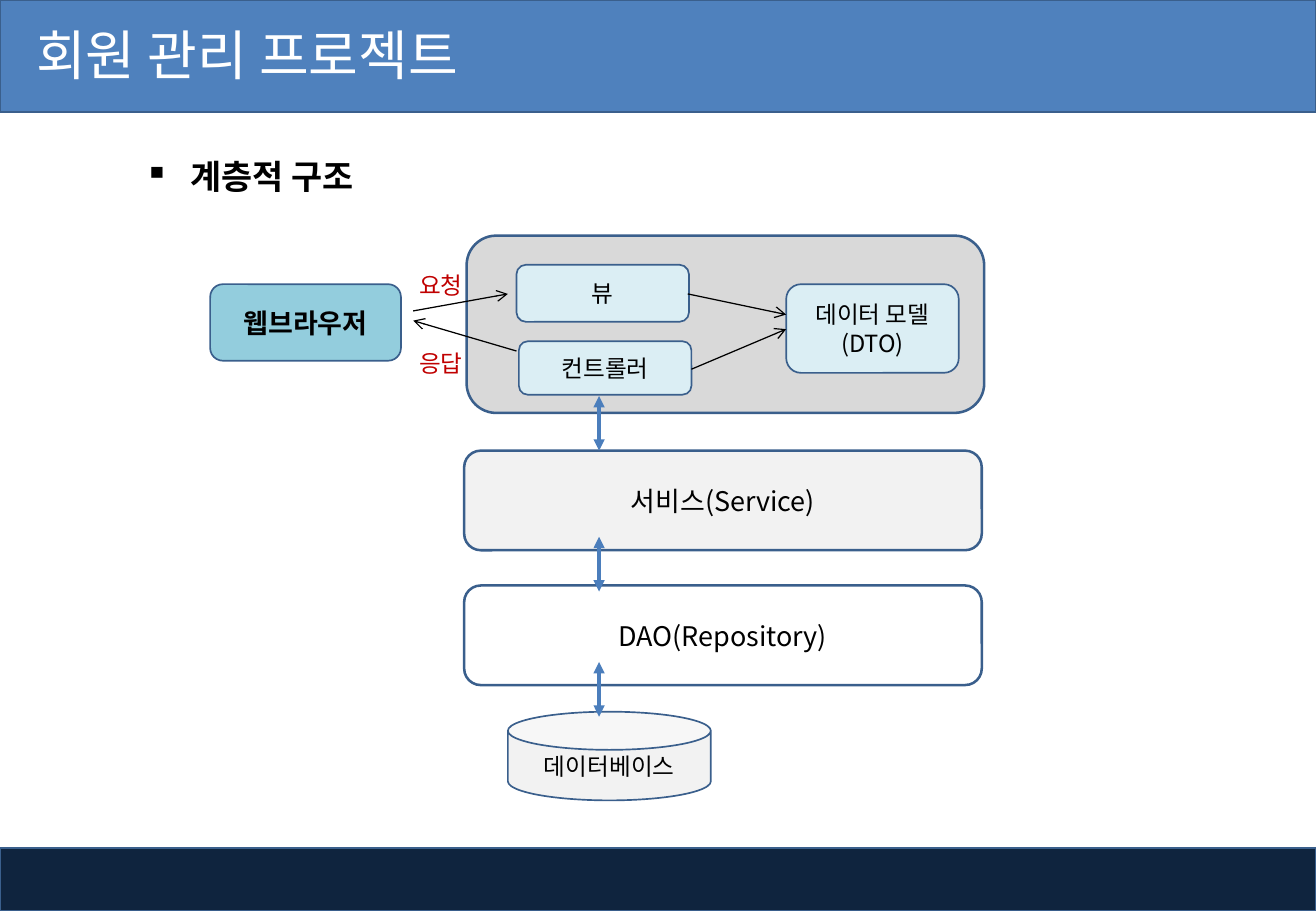
from pptx import Presentation
from pptx.dml.color import RGBColor
from pptx.enum.shapes import MSO_CONNECTOR, MSO_SHAPE
from pptx.enum.text import MSO_ANCHOR, PP_ALIGN
from pptx.oxml.ns import qn
from pptx.util import Inches, Pt
from lxml import etree

RECT, ROUND, CAN = MSO_SHAPE.RECTANGLE, MSO_SHAPE.ROUNDED_RECTANGLE, MSO_SHAPE.CAN
STRAIGHT = MSO_CONNECTOR.STRAIGHT
TOP, MIDDLE = MSO_ANCHOR.TOP, MSO_ANCHOR.MIDDLE
LEFT, CENTER = PP_ALIGN.LEFT, PP_ALIGN.CENTER

BLACK = RGBColor(0x00, 0x00, 0x00)
WHITE = RGBColor(0xFF, 0xFF, 0xFF)
RED = RGBColor(0xC0, 0x00, 0x00)
NAVY = RGBColor(0x0F, 0x24, 0x3E)
BLUE = RGBColor(0x4F, 0x81, 0xBD)
OUTLINE = RGBColor(0x3A, 0x5F, 0x8C)
ARROW_BLUE = RGBColor(0x4B, 0x7E, 0xBC)
TEAL = RGBColor(0x93, 0xCD, 0xDD)
PALE_TEAL = RGBColor(0xDB, 0xEE, 0xF4)
GREY = RGBColor(0xD9, 0xD9, 0xD9)
PALE_GREY = RGBColor(0xF2, 0xF2, 0xF2)

FONT = "Noto Sans CJK KR"
SLIDE_W, SLIDE_H = 10.83, 7.5


def add_xml(parent, tag, **attrs):
    return etree.SubElement(parent, qn(tag), attrs)


def write(sp, text, size=14, color=BLACK, bold=False, align=LEFT, anchor=TOP,
          spacing=None, bullet=None, indent=0):
    """Fill a shape with text, one paragraph per line."""
    tf = sp.text_frame
    tf.word_wrap = True
    tf.vertical_anchor = anchor
    for i, line in enumerate(text.split("\n")):
        p = tf.paragraphs[0] if i == 0 else tf.add_paragraph()
        p.alignment = align
        if spacing:
            p.line_spacing = spacing
        pPr = p._p.get_or_add_pPr()
        if indent:
            pPr.set("marL", str(Inches(indent)))
        if bullet:
            pPr.set("indent", str(-Inches(indent)))
            add_xml(pPr, "a:buChar", char=bullet)
        r = p.add_run()
        r.text = line
        r.font.size = Pt(size)
        r.font.bold = bold
        r.font.color.rgb = color
        r.font.name = FONT
        add_xml(r.font._element, "a:ea", typeface=FONT)


def add_text(s, x, y, w, h, text, **fmt):
    sp = s.shapes.add_textbox(Inches(x), Inches(y), Inches(w), Inches(h))
    write(sp, text, **fmt)


def add_block(s, kind, x, y, w, h, fill, text="", line=1, **fmt):
    """Draw an outlined shape with centred text."""
    sp = s.shapes.add_shape(kind, Inches(x), Inches(y), Inches(w), Inches(h))
    sp.shadow.inherit = False
    sp.fill.solid()
    sp.fill.fore_color.rgb = fill
    sp.line.color.rgb = OUTLINE
    sp.line.width = Pt(line)
    if text:
        write(sp, text, align=CENTER, anchor=MIDDLE, **fmt)
    return sp


def add_arrow(s, x1, y1, x2, y2, color=BLACK, width=0.75, head=None, tail="arrow"):
    c = s.shapes.add_connector(STRAIGHT, Inches(x1), Inches(y1), Inches(x2), Inches(y2))
    c.line.color.rgb = color
    c.line.width = Pt(width)
    spPr = c._element.spPr
    ln = spPr.find(qn("a:ln"))
    if head:
        add_xml(ln, "a:headEnd", type=head)
    add_xml(ln, "a:tailEnd", type=tail)
    add_xml(spPr, "a:effectLst")


def draw_frame(s, w, h):
    """Draw the title band, the footer band and the heading."""
    add_block(s, RECT, 0, h - 0.52, w, 0.52, NAVY)
    add_block(s, RECT, 0, 0, w, 0.92, BLUE)
    add_text(s, 0, -0.03, 8.74, 0.94, "회원 관리 프로젝트", size=32, color=WHITE,
             anchor=MIDDLE, indent=0.2)
    add_text(s, 1.09, 1.07, 6.69, 0.54, "계층적 구조", size=20, bold=True,
             spacing=1.5, bullet="▪", indent=0.38)


def draw_browser(s, x, y):
    """Draw the browser and its request and response labels."""
    add_block(s, ROUND, x, y, 1.57, 0.63, TEAL, "웹브라우저", size=16, bold=True)
    for text, dy in (("요청", -0.16), ("응답", 0.48)):
        add_text(s, x + 1.62, y + dy, 0.79, 0.34, text, color=RED)


def draw_web_layer(s, x, y):
    """Draw the view, controller and model with the arrows between them."""
    add_block(s, ROUND, x, y, 4.26, 1.46, GREY, line=1.5)
    for text, dx, dy, h in (("뷰", 0.41, 0.24, 0.47),
                            ("컨트롤러", 0.43, 0.87, 0.44),
                            ("데이터 모델\n(DTO)", 2.63, 0.4, 0.73)):
        add_block(s, ROUND, x + dx, y + dy, 1.42, h, PALE_TEAL, text)
    for x1, y1, x2, y2 in ((0.41, 0.95, -0.44, 0.7), (-0.44, 0.62, 0.34, 0.48),
                           (1.82, 0.48, 2.63, 0.65), (1.85, 1.1, 2.63, 0.77)):
        add_arrow(s, x + x1, y + y1, x + x2, y + y2)


def draw_back_layers(s, x, y):
    """Draw the service, repository and database, linked upwards."""
    layers = (("서비스(Service)", PALE_GREY), ("DAO(Repository)", WHITE))
    for i, (text, fill) in enumerate(layers):
        add_block(s, ROUND, x, y + 1.11 * i, 4.26, 0.82, fill, text, line=1.5, size=16)
    can = add_block(s, CAN, x + 0.36, y + 2.15, 1.67, 0.73, PALE_GREY, "데이터베이스")
    can.adjustments[0] = 0.43
    for dy in (-0.45, 0.71, 1.74):
        add_arrow(s, x + 1.11, y + dy, x + 1.11, y + dy + 0.45, color=ARROW_BLUE,
                  width=2.25, head="triangle", tail="triangle")


def main():
    prs = Presentation()
    prs.slide_width, prs.slide_height = Inches(SLIDE_W), Inches(SLIDE_H)
    s = prs.slides.add_slide(prs.slide_layouts[6])
    draw_frame(s, SLIDE_W, SLIDE_H)
    draw_web_layer(s, 3.84, 1.94)
    draw_browser(s, 1.73, 2.34)
    draw_back_layers(s, 3.82, 3.71)
    prs.save("out.pptx")


if __name__ == "__main__":
    main()
